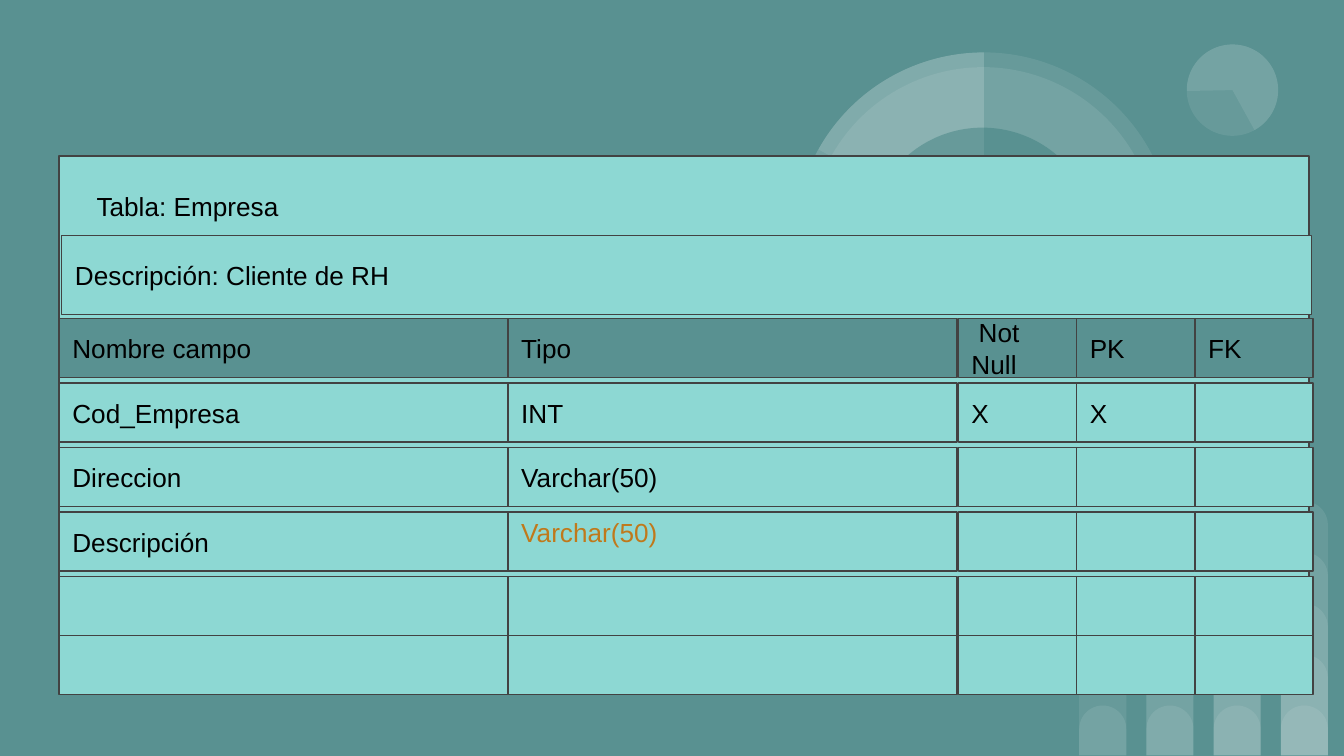
"""Build the data dictionary slide for the Empresa table."""
from lxml import etree
from pptx import Presentation
from pptx.dml.color import RGBColor
from pptx.enum.shapes import MSO_SHAPE
from pptx.enum.text import MSO_ANCHOR, PP_ALIGN
from pptx.oxml.ns import qn
from pptx.util import Inches, Pt

COLORS = {
    "teal": "599191",
    "aqua": "8DD8D3",
    "line": "424242",
    "text": "000000",
    "accent": "C0791B",
    "white": "FFFFFF",
}


def add_shape(kind, x, y, w, h, fill, alpha=None, line=None):
    sp = s.shapes.add_shape(kind, Inches(x), Inches(y), Inches(w), Inches(h))
    sp.shadow.inherit = False
    sp.fill.solid()
    sp.fill.fore_color.rgb = RGBColor.from_string(COLORS[fill])
    if alpha:
        clr = sp.fill._xPr.find(".//" + qn("a:srgbClr"))
        etree.SubElement(clr, qn("a:alpha")).set("val", str(alpha * 1000))
    if line:
        sp.line.color.rgb = RGBColor.from_string(COLORS[line])
        sp.line.width = Pt(0.75)
    else:
        sp.line.fill.background()
    return sp


def set_text(sp, text, color="text", anchor=MSO_ANCHOR.MIDDLE, top=0.1):
    tf = sp.text_frame
    tf.word_wrap = True
    tf.vertical_anchor = anchor
    tf.margin_left = tf.margin_right = tf.margin_bottom = Inches(0.1)
    tf.margin_top = Inches(top)
    p = tf.paragraphs[0]
    p.text = text
    p.alignment = PP_ALIGN.LEFT
    p.font.name = "Arial"
    p.font.size = Pt(14)
    p.font.color.rgb = RGBColor.from_string(COLORS[color])


prs = Presentation()
prs.slide_width = Inches(10)
prs.slide_height = Inches(10) * 9 // 16
s = prs.slides.add_slide(prs.slide_layouts[6])
s.background.fill.solid()
s.background.fill.fore_color.rgb = RGBColor.from_string(COLORS["teal"])

for col in range(4):
    for level in range(col + 2):
        h = 0.37 + 0.38 * level
        sp = add_shape(MSO_SHAPE.ROUND_2_SAME_RECTANGLE,
                       8.03 + 0.5 * col, 5.62 - h, 0.35, h, "white", 9)
        sp.adjustments[0] = 0.5

discs = [
    (8.83, 0.33, 0.68, 215.9, None, "white", 9),
    (8.83, 0.33, 0.68, 215.9, (193.77, 123.14), "white", 9),
    (5.91, 0.39, 2.82, 0, None, "white", 9),
    (6.02, 0.5, 2.59, 34.1, None, "white", 9),
    (5.91, 0.39, 2.82, 0, (88.01, 162), "white", 9),
    (6.46, 0.95, 1.7, 34.1, None, "teal", None),
    (5.91, 0.39, 2.82, 0, (125.54, 162), "white", 9),
]
for x, y, d, rotation, angles, fill, alpha in discs:
    kind = MSO_SHAPE.PIE if angles else MSO_SHAPE.OVAL
    sp = add_shape(kind, x, y, d, d, fill, alpha)
    sp.rotation = rotation
    for i, angle in enumerate(angles or ()):
        sp.adjustments[i] = angle

add_shape(MSO_SHAPE.RECTANGLE, 0.44, 1.16, 9.3, 3.9, "aqua", line="line")
title = s.shapes.add_textbox(Inches(0.62), Inches(1.32), Inches(8.03), Inches(0.44))
set_text(title, "Tabla: Empresa", anchor=MSO_ANCHOR.TOP)
description = add_shape(MSO_SHAPE.RECTANGLE, 0.46, 1.75, 9.3, 0.59, "aqua", line="line")
set_text(description, "Descripción: Cliente de RH")

columns = [(0.44, 3.34), (3.78, 3.34), (7.13, 0.88), (8.01, 0.88), (8.89, 0.88)]
rows = [
    (2.37, ["Nombre campo", "Tipo", " Not Null", "PK", "FK"]),
    (2.85, ["Cod_Empresa", "INT", "X", "X", ""]),
    (3.33, ["Direccion", "Varchar(50)", "", "", ""]),
    (3.81, ["Descripción", "Varchar(50)", "", "", ""]),
    (4.29, [""] * 5),
    (4.73, [""] * 5),
]
for i, (y, texts) in enumerate(rows):
    for j, ((x, w), text) in enumerate(zip(columns, texts)):
        fill = "teal" if i == 0 else "aqua"
        sp = add_shape(MSO_SHAPE.RECTANGLE, x, y, w, 0.44, fill, line="line")
        if (i, j) == (3, 1):
            set_text(sp, text, "accent", MSO_ANCHOR.TOP, 0.03)
        elif text:
            set_text(sp, text)

prs.save("out.pptx")
